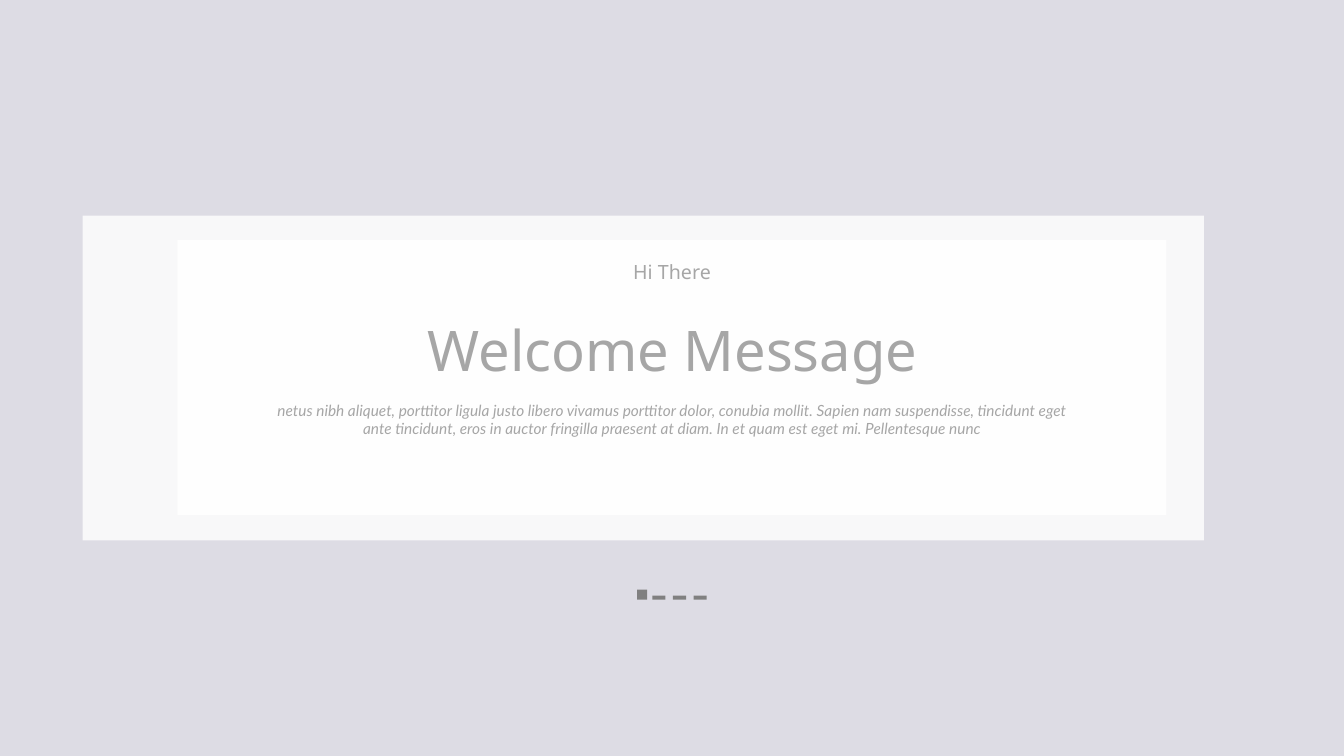
from lxml import etree
from pptx import Presentation
from pptx import util as u
from pptx.dml.color import RGBColor
from pptx.enum import shapes, text
from pptx.oxml.ns import qn

LAVENDER = RGBColor(0xDD, 0xDC, 0xE4)
WHITE = RGBColor(0xFF, 0xFF, 0xFF)
PALE_GREY = RGBColor(0xA6, 0xA6, 0xA6)
MID_GREY = RGBColor(0x80, 0x80, 0x80)

MESSAGE = (
    "netus nibh aliquet, porttitor ligula justo libero vivamus porttitor dolor, "
    "conubia mollit. Sapien nam suspendisse, tincidunt eget ante tincidunt, eros in "
    "auctor fringilla praesent at diam. In et quam est eget mi. Pellentesque nunc"
)


def inches(*lengths):
    return [u.Inches(length) for length in lengths]


def add_block(parent, box, color, opacity=100):
    block = parent.add_shape(shapes.MSO_SHAPE.RECTANGLE, *inches(*box))
    block.shadow.inherit = False
    block.fill.solid()
    block.fill.fore_color.rgb = color
    block.line.fill.background()
    if opacity < 100:
        tint = block.element.spPr.find(qn("a:solidFill"))[0]
        etree.SubElement(tint, qn("a:alpha"), val=str(opacity * 1000))


def write(holder, box, words, font, size, inset=0, heading=True):
    holder.left, holder.top, holder.width, holder.height = inches(*box)
    frame = holder.text_frame
    frame.word_wrap = True
    frame.auto_size = text.MSO_AUTO_SIZE.NONE
    frame.vertical_anchor = text.MSO_ANCHOR.TOP
    frame.margin_left = frame.margin_right = u.Inches(2 * inset)
    frame.margin_top = frame.margin_bottom = u.Inches(inset)
    line = frame.paragraphs[0]
    line.alignment = text.PP_ALIGN.CENTER
    if heading:
        line.line_spacing = 0.9
        line.space_before = u.Pt(10)
    run = line.add_run()
    run.text = words
    run.font.name = font
    run.font.size = u.Pt(size)
    run.font.italic = not heading
    run.font.color.rgb = PALE_GREY


def add_welcome_panel(slide, left, top, width, height):
    add_block(slide.shapes, (left, top, width, height), WHITE, 80)
    add_block(slide.shapes, (left + 0.94, top + 0.24, width - 1.31, height - 0.49),
              WHITE, 91)

    title = slide.shapes.title
    title.element.getparent().append(title.element)
    write(title, (left + 3.32, top + 1.07, 5.06, 0.63),
          "Welcome Message", "Noto Sans", 40)

    message = slide.shapes.add_textbox(0, 0, 0, 0)
    write(message, (left + 1.76, top + 1.79, 8.18, 0.47),
          MESSAGE, "Lato", 11, inset=0.05, heading=False)

    greeting = slide.shapes.add_textbox(0, 0, 0, 0)
    write(greeting, (left + 5.35, top + 0.47, 0.99, 0.23),
          "Hi There", "Noto Sans", 14)


def add_page_marks(slide, left, top, dashes=3):
    marks = slide.shapes.add_group_shape().shapes
    add_block(marks, (left, top, 0.1, 0.1), MID_GREY)
    for index in range(dashes):
        add_block(marks, (left + 0.15 + 0.205 * index, top + 0.06, 0.13, 0.04), MID_GREY)


deck = Presentation()
deck.slide_width, deck.slide_height = inches(13.33, 7.5)
welcome = deck.slides.add_slide(deck.slide_layouts[5])
welcome.background.fill.solid()
welcome.background.fill.fore_color.rgb = LAVENDER
add_welcome_panel(welcome, 0.82, 2.14, 11.12, 3.22)
add_page_marks(welcome, 6.32, 5.85)
deck.save("out.pptx")
